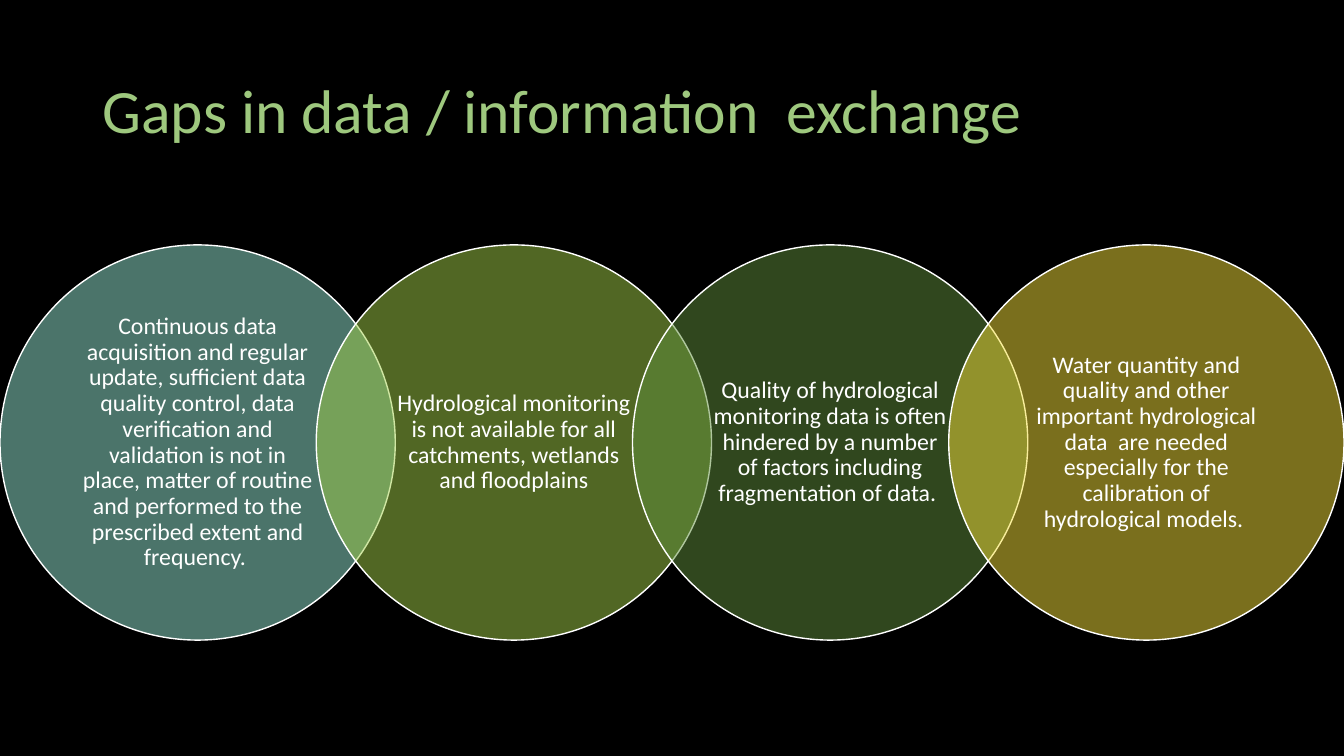
from pptx import Presentation
from pptx.dml.color import RGBColor
from pptx.enum.shapes import MSO_SHAPE
from pptx.enum.text import MSO_ANCHOR, PP_ALIGN
from pptx.oxml.ns import qn
from pptx.util import Inches, Pt
from lxml import etree

OVAL = MSO_SHAPE.OVAL
MIDDLE = MSO_ANCHOR.MIDDLE
LEFT, CENTER = PP_ALIGN.LEFT, PP_ALIGN.CENTER

COLORS = {
    "background": "000000",
    "title": "9EC87E",
    "white": "FFFFFF",
    "aqua": "97E9D5",
    "lime": "A2CF49",
    "green": "608F3D",
    "yellow": "F4DE3A",
}

GAPS = [
    ("aqua", "Continuous data acquisition and regular update, sufficient data quality control, "
             "data verification and validation is not in place, matter of routine and performed "
             "to the prescribed extent and frequency. "),
    ("lime", "Hydrological monitoring is not available for all catchments, wetlands and floodplains"),
    ("green", "Quality of hydrological monitoring data is often hindered by a number of factors "
              "including fragmentation of data. "),
    ("yellow", "Water quantity and quality and other important hydrological data  are needed "
               "especially for the calibration of hydrological models. "),
]

SLIDE_WIDTH = 13.33
DIAMETER = 3.92
STEP = (SLIDE_WIDTH - DIAMETER) / (len(GAPS) - 1)


class GapSlide:
    """Holds the style and the current slide, and draws its elements."""

    font = "Calibri"

    def __init__(self, prs):
        self.s = prs.slides.add_slide(prs.slide_layouts[6])
        fill = self.s.background.fill
        fill.solid()
        fill.fore_color.rgb = self.color("background")

    def color(self, name):
        return RGBColor.from_string(COLORS[name])

    def add_text(self, sp, text, size, color, align):
        tf = sp.text_frame
        tf.word_wrap = True
        tf.vertical_anchor = MIDDLE
        p = tf.paragraphs[0]
        p.alignment = align
        p.line_spacing = 0.9
        r = p.add_run()
        r.text = text
        r.font.name = self.font
        r.font.size = Pt(size)
        r.font.color.rgb = self.color(color)
        return tf

    def title(self, text, left, top, width, height):
        sp = self.s.shapes.add_textbox(Inches(left), Inches(top), Inches(width), Inches(height))
        self.add_text(sp, text, 44, "title", LEFT)

    def circle(self, text, color, left, top, diameter):
        sp = self.s.shapes.add_shape(OVAL, Inches(left), Inches(top),
                                     Inches(diameter), Inches(diameter))
        sp.shadow.inherit = False
        sp.fill.solid()
        sp.fill.fore_color.rgb = self.color(color)
        tint = sp.element.spPr.find(qn("a:solidFill"))[0]
        etree.SubElement(tint, qn("a:alpha")).set("val", "50000")
        sp.line.color.rgb = self.color("white")
        sp.line.width = Pt(1)
        tf = self.add_text(sp, text, 17, "white", CENTER)
        tf.margin_left = tf.margin_right = Inches(0.22)
        tf.margin_top = tf.margin_bottom = Inches(0.02)


def main():
    prs = Presentation()
    prs.slide_width, prs.slide_height = Inches(SLIDE_WIDTH), Inches(7.5)
    slide = GapSlide(prs)
    slide.title("Gaps in data / information  exchange", 0.92, 0.4, 11.5, 1.45)
    for i, (color, text) in enumerate(GAPS):
        slide.circle(text, color, i * STEP, 2.43, DIAMETER)
    prs.save("out.pptx")


if __name__ == "__main__":
    main()
